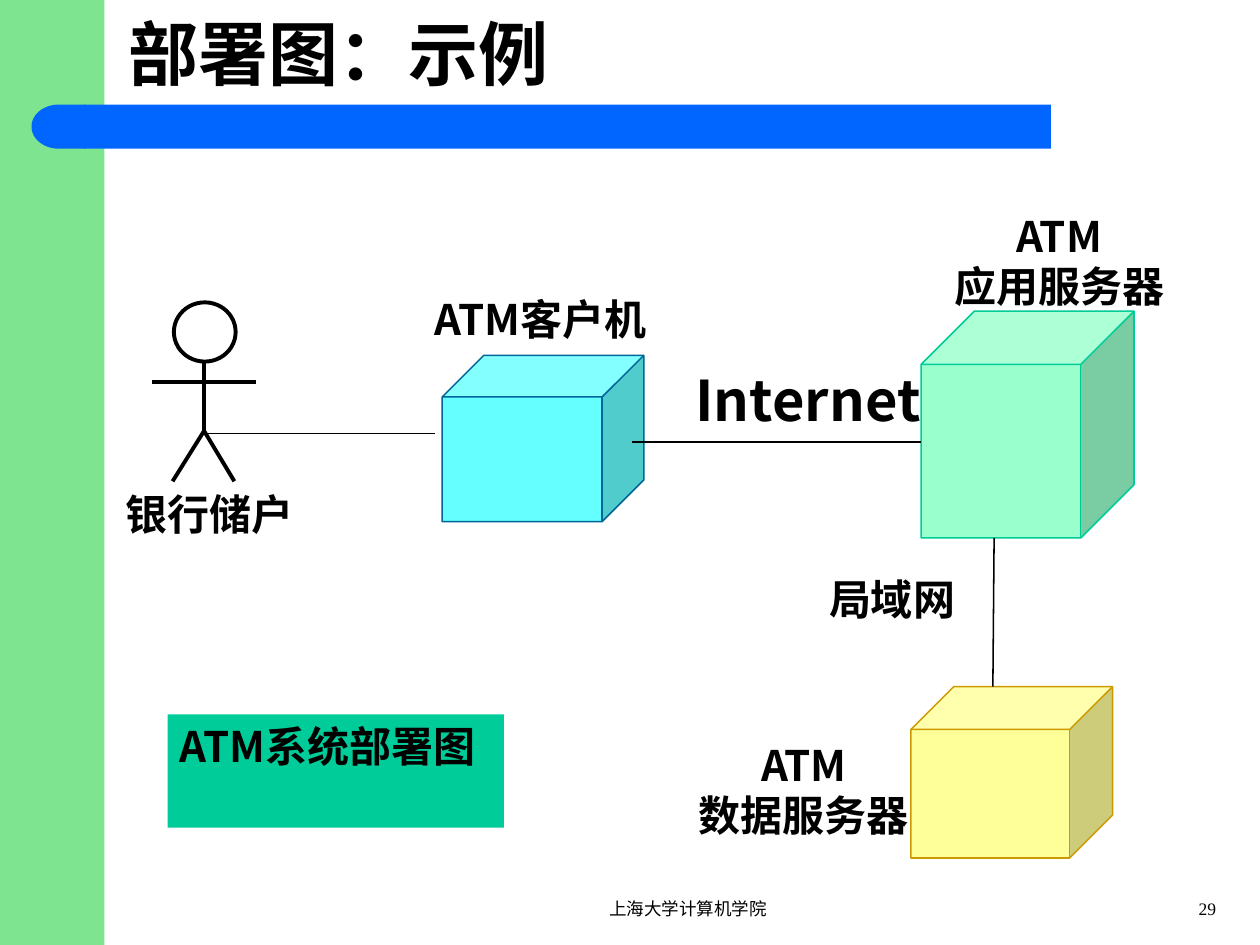
import pptx
import pptx.util
import pptx.dml.color
import pptx.enum.shapes
import pptx.enum.text
import pptx.oxml.ns
from lxml import etree

Inches = pptx.util.Inches
Kind = pptx.enum.shapes.MSO_SHAPE
Align = pptx.enum.text.PP_ALIGN
Anchor = pptx.enum.text.MSO_ANCHOR
qn = pptx.oxml.ns.qn

HUES = {
    "black": "000000",
    "band": "7EE48F",
    "bar": "0066FF",
    "client": "66FFFF",
    "client edge": "006699",
    "app": "99FFCC",
    "app edge": "00CC99",
    "data": "FFFF99",
    "data edge": "CC9900",
    "note": "00CC99",
}
SANS = "Noto Sans CJK SC"
HAN = "Noto Sans CJK TC"
SERIF = "Times New Roman"
THIN, THICK = 0.88, 2.25
INSET = (0.1, 0.05)


def color(name):
    return pptx.dml.color.RGBColor.from_string(HUES[name])


def assign(item, values):
    for name, value in values.items():
        setattr(item, name, value)


def write(shape, text, size, face, bold=True, align=Align.LEFT, inset=(0, 0), anchor=Anchor.TOP):
    frame = shape.text_frame
    side, edge = map(Inches, inset)
    assign(frame, {
        "text": text, "word_wrap": True, "vertical_anchor": anchor,
        "margin_left": side, "margin_right": side,
        "margin_top": edge, "margin_bottom": edge,
    })
    for para in frame.paragraphs:
        para.alignment = align
        for run in para.runs:
            assign(run.font, {"size": pptx.util.Pt(size), "name": face, "bold": bold})
            run.font.color.rgb = color("black")
            east = etree.SubElement(run.font._element, qn("a:ea"))
            east.set("typeface", SANS if face == SERIF else face)


def label(slide, box, text, size=24, face=HAN, **style):
    shape = slide.shapes.add_textbox(*map(Inches, box))
    write(shape, text, size, face, **style)


def block(slide, kind, box, fill=None, line=None, width=THIN):
    shape = slide.shapes.add_shape(kind, *map(Inches, box))
    shape.shadow.inherit = False
    if fill:
        shape.fill.solid()
        shape.fill.fore_color.rgb = color(fill)
    else:
        shape.fill.background()
    if line:
        shape.line.color.rgb = color(line)
        shape.line.width = pptx.util.Pt(width)
    else:
        shape.line.fill.background()
    return shape


def link(slide, start, end, width=THIN):
    straight = pptx.enum.shapes.MSO_CONNECTOR.STRAIGHT
    line = slide.shapes.add_connector(straight, *map(Inches, start + end))
    line.line.color.rgb = color("black")
    line.line.width = pptx.util.Pt(width)
    etree.SubElement(line._element.spPr, qn("a:effectLst"))


def actor(slide):
    neck, hip = (1.62, 2.87), (1.62, 3.42)
    limbs = [((1.21, 3.03), (2.03, 3.03)), (neck, hip)]
    limbs += [(hip, (foot, 3.82)) for foot in (1.37, 1.86)]
    for start, end in limbs:
        link(slide, start, end, THICK)
    block(slide, Kind.OVAL, (1.38, 2.4, 0.49, 0.47), line="black", width=THICK)


def frame(slide):
    block(slide, Kind.RECTANGLE, (0, 0, 0.83, 7.5), "band")
    block(slide, Kind.RECTANGLE, (0.67, 0.83, 7.67, 0.35), "bar")
    block(slide, Kind.FLOWCHART_DELAY, (0.25, 0.83, 0.43, 0.35), "bar").rotation = 180
    title = slide.shapes.title
    assign(title, dict(zip(("left", "top", "width", "height"), map(Inches, (0.92, 0, 8.67, 0.83)))))
    write(title, "部署图：示例", 40, SANS, inset=INSET, anchor=Anchor.MIDDLE)
    small = {"size": 10, "face": SERIF, "bold": False, "inset": INSET}
    label(slide, (3.75, 7.08, 3.42, 0.25), "上海大学计算机学院", align=Align.CENTER, **small)
    label(slide, (9, 7.08, 0.75, 0.25), "29", align=Align.RIGHT, **small)


def main():
    deck = pptx.Presentation()
    assign(deck, {"slide_width": Inches(10), "slide_height": Inches(7.5)})
    slide = deck.slides.add_slide(deck.slide_layouts[5])
    frame(slide)

    for name, box in (
        ("client", (3.51, 2.82, 1.6, 1.32)),
        ("app", (7.31, 2.47, 1.69, 1.8)),
        ("data", (7.23, 5.45, 1.6, 1.36)),
    ):
        block(slide, Kind.CUBE, box, name, name + " edge").adjustments[0] = 0.25

    for start, end in (
        ((5.02, 3.51), (7.31, 3.51)),
        ((7.89, 4.27), (7.88, 5.45)),
        ((1.6, 3.44), (3.45, 3.44)),
    ):
        link(slide, start, end)
    actor(slide)

    label(slide, (6.58, 4.55, 1.44, 0.4), "局域网", face=SERIF)
    label(slide, (5.52, 2.9, 1.87, 0.53), "Internet", 32)
    label(slide, (3.45, 2.33, 1.89, 0.4), "ATM客户机")
    label(slide, (1, 3.88, 1.5, 0.4), "银行储户", face=SERIF)
    label(slide, (7.42, 1.67, 1.97, 0.8), "ATM\n应用服务器", align=Align.CENTER)
    label(slide, (5.42, 5.87, 1.92, 0.8), "ATM\n数据服务器", align=Align.CENTER)

    note = block(slide, Kind.RECTANGLE, (1.33, 5.67, 2.67, 0.9), "note")
    write(note, "ATM系统部署图", 24, SANS, inset=INSET)
    deck.save("out.pptx")


if __name__ == "__main__":
    main()
